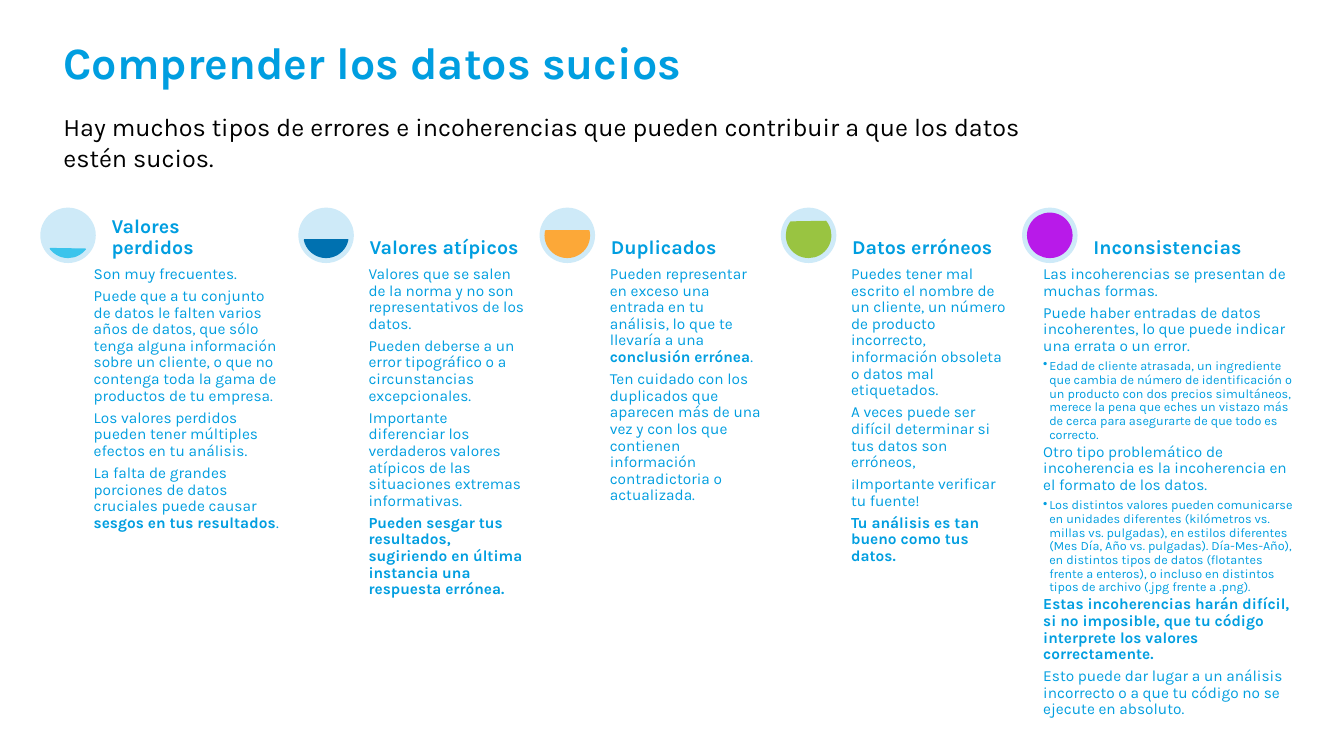
from dataclasses import dataclass

from lxml import etree
from pptx import Presentation
from pptx.dml.color import RGBColor
from pptx.enum.shapes import MSO_SHAPE
from pptx.enum.text import MSO_ANCHOR
from pptx.oxml.ns import qn
from pptx.util import Inches, Pt

OVAL = MSO_SHAPE.OVAL
CHORD = MSO_SHAPE.CHORD
TOP = MSO_ANCHOR.TOP
MIDDLE = MSO_ANCHOR.MIDDLE
BOTTOM = MSO_ANCHOR.BOTTOM

FONT = "Karla"
BLUE = "009EE0"
PALE_BLUE = "CEEAF8"
BLACK = "000000"

WIDTH = Inches(13.33)
HEIGHT = Inches(7.5)
FIRST_LEFT = 3.0
SECOND_LEFT = 22.2
COLUMN_STEP = 17.95
ICON_TOP = 27.47
ICON_WIDTH = 4.13
ICON_HEIGHT = 7.33
LEVEL_INSET = 0.42
TEXT_OFFSET = 5.0
TEXT_WIDTH = 12.15
BODY_HEIGHT = 30.67


@dataclass
class Run:
    text: str
    bold: bool = False


@dataclass
class Block:
    runs: list[Run]
    size: float = 11
    color: str = BLUE
    line_spacing: float = 0.9
    space_after: float = 0.35
    bullet: bool = False


@dataclass
class Column:
    heading: str
    level_color: str
    level_angles: tuple[float, float]
    blocks: list[Block]
    body_offset: float = TEXT_OFFSET
    body_width: float = TEXT_WIDTH


def across(percent: float) -> int:
    return round(WIDTH * percent / 100)


def down(percent: float) -> int:
    return round(HEIGHT * percent / 100)


def color_of(hex_color: str) -> RGBColor:
    return RGBColor.from_string(hex_color)


def plain(text: str) -> Block:
    return Block([Run(text)])


def strong(text: str) -> Block:
    return Block([Run(text, True)])


def bullet(text: str) -> Block:
    return Block([Run(text)], size=9, space_after=0.15, bullet=True)


def add_text(slide, left: float, top: float, width: float, height: float,
             blocks: list[Block], anchor=TOP, inset: float = 0.03) -> None:
    box = slide.shapes.add_textbox(across(left), down(top), across(width), down(height))
    frame = box.text_frame
    frame.word_wrap = True
    frame.vertical_anchor = anchor
    frame.margin_left = frame.margin_right = Inches(inset)
    frame.margin_top = frame.margin_bottom = Inches(min(inset, 0.05))
    for index, block in enumerate(blocks):
        paragraph = frame.add_paragraph() if index else frame.paragraphs[0]
        paragraph.line_spacing = block.line_spacing
        paragraph.space_after = Pt(block.size * block.space_after)
        if block.bullet:
            paragraph.level = 1
            properties = paragraph._p.get_or_add_pPr()
            properties.set("marL", str(Inches(0.06)))
            properties.set("indent", str(-Inches(0.06)))
            etree.SubElement(properties, qn("a:buChar")).set("char", "•")
        for part in block.runs:
            run = paragraph.add_run()
            run.text = part.text
            run.font.name = FONT
            run.font.size = Pt(block.size)
            run.font.bold = part.bold
            run.font.color.rgb = color_of(block.color)


def add_disc(slide, kind, left: float, inset: float, color: str):
    shape = slide.shapes.add_shape(
        kind, across(left + inset), down(ICON_TOP) + across(inset),
        across(ICON_WIDTH - 2 * inset), down(ICON_HEIGHT) - 2 * across(inset))
    shape.shadow.inherit = False
    shape.fill.solid()
    shape.fill.fore_color.rgb = color_of(color)
    shape.line.fill.background()
    return shape


def add_column(slide, column: Column, left: float) -> None:
    add_disc(slide, OVAL, left, 0, PALE_BLUE)
    level = add_disc(slide, CHORD, left, LEVEL_INSET, column.level_color)
    level.line.color.rgb = color_of(column.level_color)
    level.line.width = Pt(1)
    for index, degrees in enumerate(column.level_angles):
        level.adjustments[index] = degrees * 0.6
    add_text(slide, left + column.body_offset, ICON_TOP + ICON_HEIGHT,
             column.body_width, BODY_HEIGHT, column.blocks)
    add_text(slide, left + TEXT_OFFSET, ICON_TOP, TEXT_WIDTH, ICON_HEIGHT,
             [Block([Run(column.heading, True)], size=14)], BOTTOM, 0.04)


COLUMNS = [
    Column("Valores perdidos", "3BC4EC", (38.87, 143.13), [
        plain("Son muy frecuentes."),
        plain("Puede que a tu conjunto de datos le falten varios años de datos, que sólo tenga "
              "alguna información sobre un cliente, o que no contenga toda la gama de productos "
              "de tu empresa."),
        plain("Los valores perdidos pueden tener múltiples efectos en tu análisis."),
        Block([Run("La falta de grandes porciones de datos cruciales puede causar "),
               Run("sesgos en tus resultados", True), Run(".")]),
    ], body_offset=3.75, body_width=14.63),
    Column("Valores atípicos", "0071B0", (11.54, 168.46), [
        plain("Valores que se salen de la norma y no son representativos de los datos."),
        plain("Pueden deberse a un error tipográfico o a circunstancias excepcionales."),
        plain("Importante diferenciar los verdaderos valores atípicos de las situaciones "
              "extremas informativas."),
        strong("Pueden sesgar tus resultados, sugiriendo en última instancia una respuesta "
               "errónea."),
    ]),
    Column("Duplicados", "FCA838", (348.46, 191.54), [
        Block([Run("Pueden representar en exceso una entrada en tu análisis, lo que te llevaría "
                   "a una "),
               Run("conclusión errónea", True), Run(".")]),
        plain("Ten cuidado con los duplicados que aparecen más de una vez y con los que "
              "contienen información contradictoria o actualizada."),
    ]),
    Column("Datos erróneos", "99C441", (321.13, 216.87), [
        plain("Puedes tener mal escrito el nombre de un cliente, un número de producto "
              "incorrecto, información obsoleta o datos mal etiquetados."),
        plain("A veces puede ser difícil determinar si tus datos son erróneos,"),
        plain("¡Importante verificar tu fuente!"),
        strong("Tu análisis es tan bueno como tus datos."),
    ]),
    Column("Inconsistencias", "B81AE9", (270, 270), [
        plain("Las incoherencias se presentan de muchas formas."),
        plain("Puede haber entradas de datos incoherentes, lo que puede indicar una errata o un "
              "error."),
        bullet("Edad de cliente atrasada, un ingrediente que cambia de número de identificación "
               "o un producto con dos precios simultáneos, merece la pena que eches un vistazo "
               "más de cerca para asegurarte de que todo es correcto."),
        plain("Otro tipo problemático de incoherencia es la incoherencia en el formato de los "
              "datos."),
        bullet("Los distintos valores pueden comunicarse en unidades diferentes (kilómetros vs. "
               "millas vs. pulgadas), en estilos diferentes (Mes Día, Año vs. pulgadas). "
               "Día-Mes-Año), en distintos tipos de datos (flotantes frente a enteros), o "
               "incluso en distintos tipos de archivo (.jpg frente a .png)."),
        strong("Estas incoherencias harán difícil, si no imposible, que tu código interprete los "
               "valores correctamente."),
        plain("Esto puede dar lugar a un análisis incorrecto o a que tu código no se ejecute en "
              "absoluto."),
    ], body_offset=1.35, body_width=19.35),
]


def main() -> None:
    presentation = Presentation()
    presentation.slide_width = WIDTH
    presentation.slide_height = HEIGHT
    slide = presentation.slides.add_slide(presentation.slide_layouts[6])
    add_text(slide, 3.98, 4.4, 90.77, 8.27,
             [Block([Run("Comprender los datos sucios", True)], size=32, space_after=0)],
             MIDDLE, 0.1)
    add_text(slide, 3.98, 14.13, 77.64, 13.47,
             [Block([Run("Hay muchos tipos de errores e incoherencias que pueden contribuir a "
                         "que los datos estén sucios.")],
                    size=18, color=BLACK, line_spacing=1.0, space_after=0.58)], TOP, 0.1)
    for index, column in enumerate(COLUMNS):
        left = SECOND_LEFT + (index - 1) * COLUMN_STEP if index else FIRST_LEFT
        add_column(slide, column, left)
    presentation.save("out.pptx")


if __name__ == "__main__":
    main()
